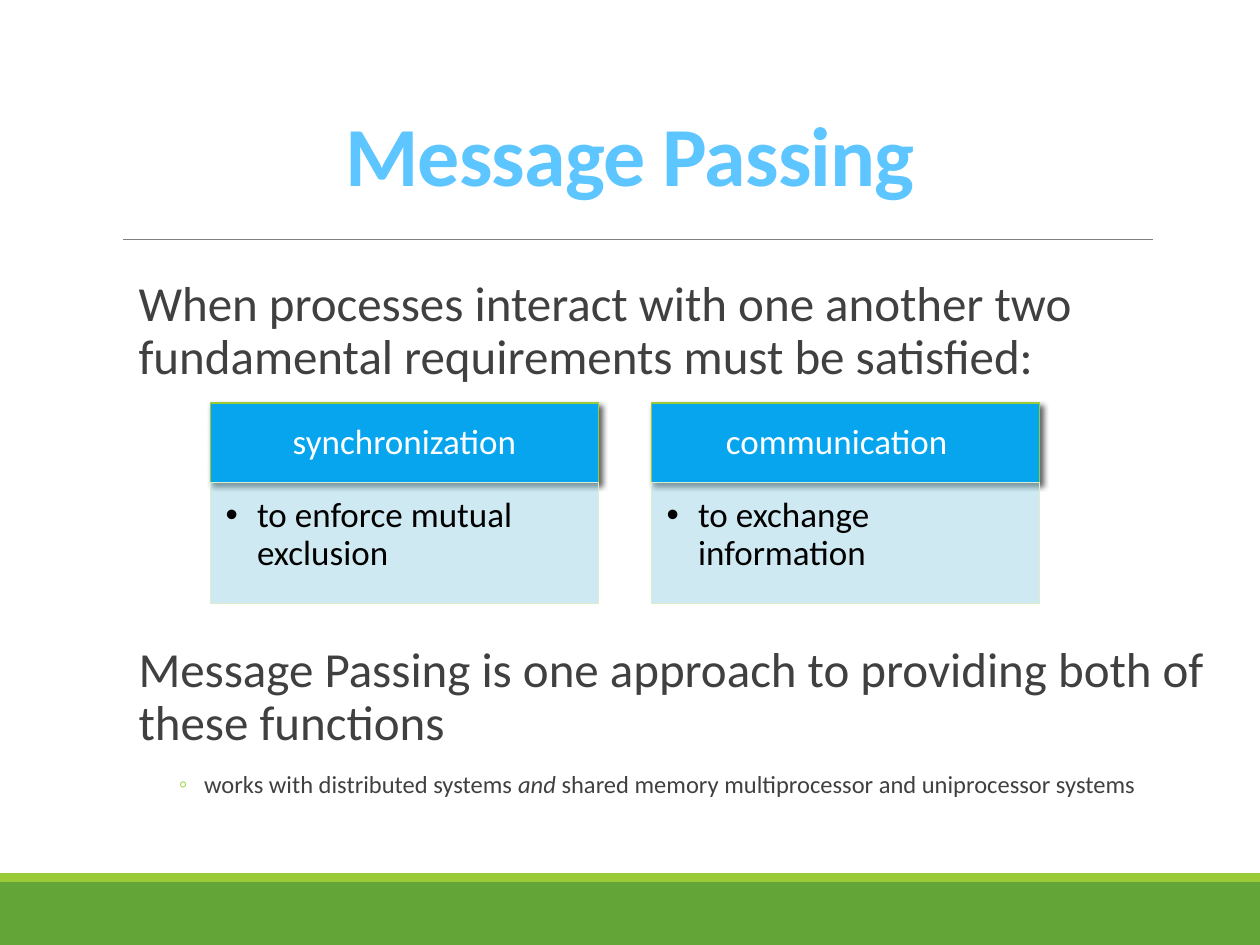
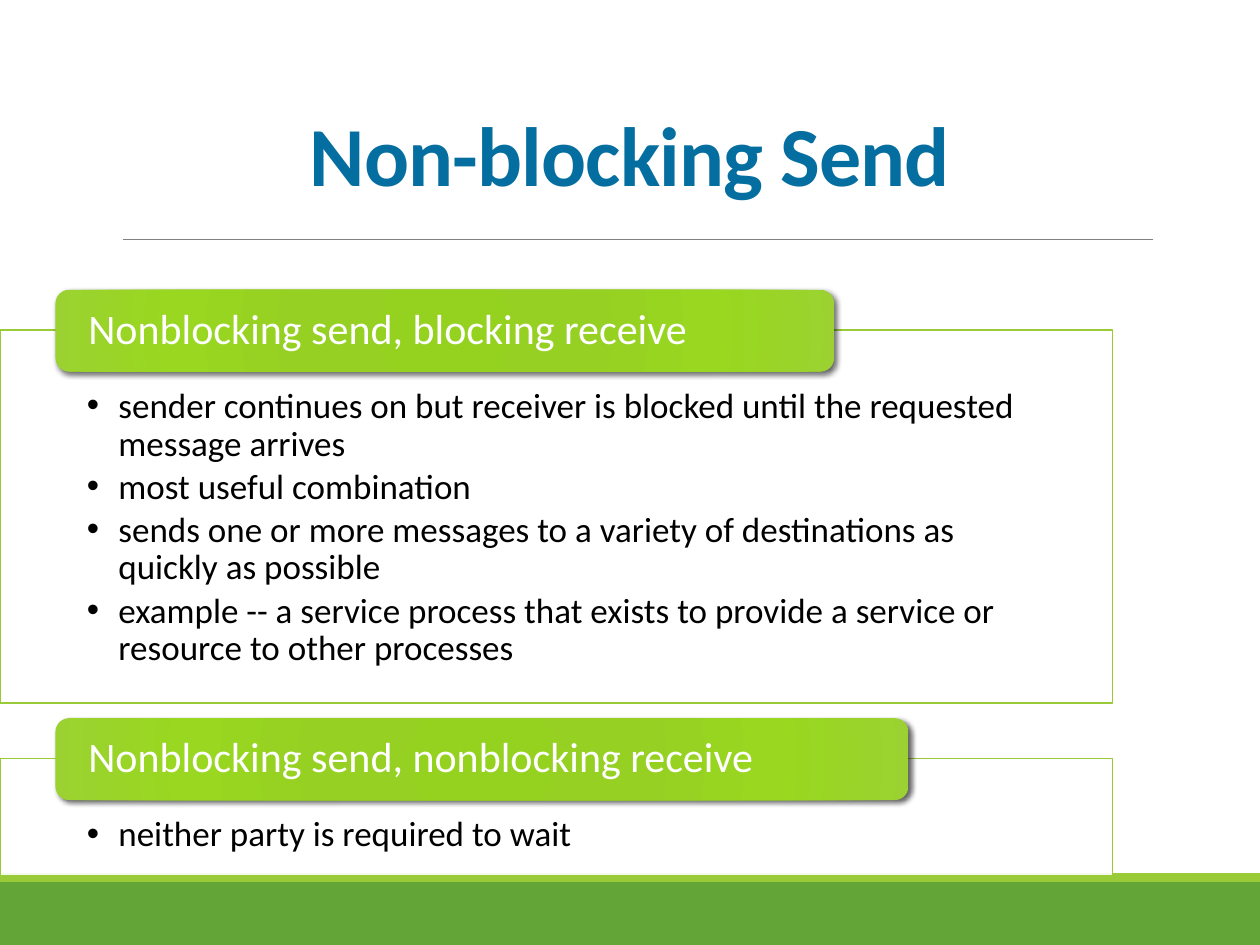
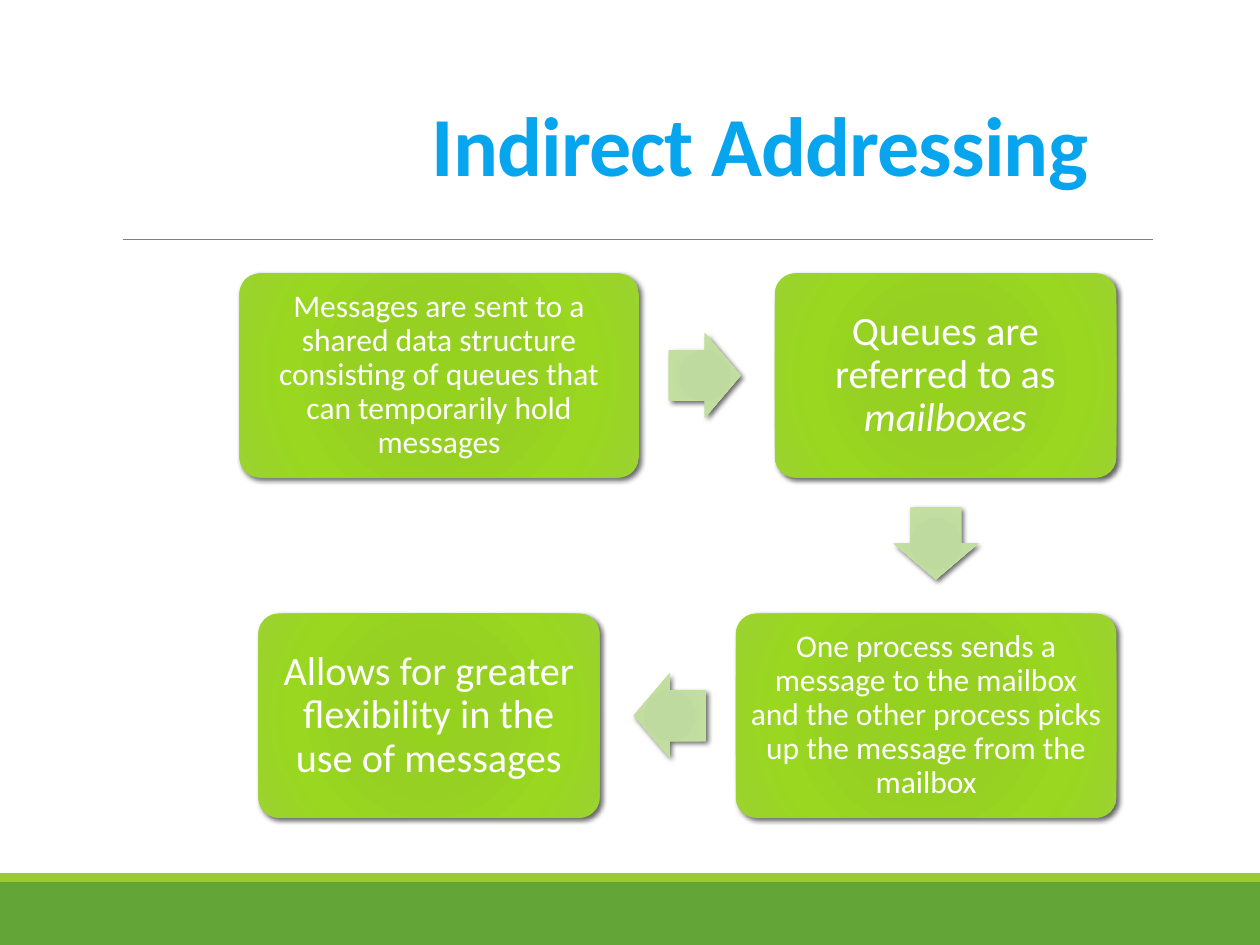
from lxml import etree
from pptx import Presentation
from pptx.dml.color import RGBColor
from pptx.enum.shapes import MSO_CONNECTOR, MSO_SHAPE
from pptx.enum.text import MSO_ANCHOR, MSO_AUTO_SIZE, PP_ALIGN
from pptx.oxml import parse_xml
from pptx.oxml.ns import nsdecls, qn
from pptx.util import Inches, Pt

RECT, ROUND, ARROW = MSO_SHAPE.RECTANGLE, MSO_SHAPE.ROUNDED_RECTANGLE, MSO_SHAPE.RIGHT_ARROW
LEFT, MID = PP_ALIGN.LEFT, PP_ALIGN.CENTER
TOP, CENTER, BOTTOM = MSO_ANCHOR.TOP, MSO_ANCHOR.MIDDLE, MSO_ANCHOR.BOTTOM

FONT = "Calibri"
BLACK = RGBColor(0x00, 0x00, 0x00)
WHITE = RGBColor(0xFF, 0xFF, 0xFF)
GRAY = RGBColor(0x40, 0x40, 0x40)
RULE = RGBColor(0x80, 0x80, 0x80)
GREEN = RGBColor(0x63, 0xA5, 0x37)
LIME = RGBColor(0x99, 0xCB, 0x38)
PALE = RGBColor(0xDE, 0xEC, 0xCE)
AQUA = RGBColor(0x95, 0xD1, 0xE2)
BLUE = RGBColor(0x08, 0xA5, 0xEF)
SKY = RGBColor(0x5D, 0xC5, 0xFF)
NAVY = RGBColor(0x05, 0x6E, 0xA0)
GLOW = [(0, "95D220"), (34, "96D023"), (70, "99D720"), (100, "9BD231")]
MIST = [(0, "BDD99C"), (34, "BFDA9E"), (70, "C2DF9F"), (100, "CAE4AC")]

# Content: a run is (text, italic)
INTRO = "When processes interact with one another two fundamental requirements must be satisfied:"
CLOSE = "Message Passing is one approach to providing both of these functions"
NOTE = [("works with distributed systems ", False), ("and", True),
        (" shared memory multiprocessor and uniprocessor systems", False)]
# head, right inset, detail
NEEDS = [("synchronization", 0.16, "to enforce mutual exclusion"),
         ("communication", 0.30, "to exchange information")]
# head, head width, top, box height, points
SENDS = [
    ("Nonblocking send, blocking receive", 6.18, 2.3, 2.96, [
        "sender continues on but receiver is blocked until the requested message arrives",
        "most useful combination",
        "sends one or more messages to a variety of destinations as quickly as possible",
        "example -- a service process that exists to provide a service or resource to other processes"]),
    ("Nonblocking send, nonblocking receive", 6.77, 5.7, 0.93, [
        "neither party is required to wait"]),
]
# left, top, width, size, inset, runs
CARDS = [
    (1.9, 2.17, 3.17, 18, 0.07, [("Messages are sent to a shared data structure consisting "
                                  "of queues that can temporarily hold messages", False)]),
    (6.15, 2.17, 2.71, 23, 0.1, [("Queues are referred to as ", False), ("mailboxes", True)]),
    (5.84, 4.87, 3.02, 18, 0.07, [("One process sends a message to the mailbox and the other "
                                   "process picks up the message from the mailbox", False)]),
    (2.05, 4.87, 2.71, 23, 0.1, [("Allows for greater flexibility in the use of messages", False)]),
]


# Fills and effects
def fade(shape, alpha):
    """Give a solid fill an opacity in percent."""
    node = shape.element.spPr.find(qn("a:solidFill")).find(qn("a:srgbClr"))
    etree.SubElement(node, qn("a:alpha"), val=str(alpha * 1000))


def blend(shape, stops):
    marks = "".join(f'<a:gs pos="{pos * 1000}"><a:srgbClr val="{tone}"/></a:gs>'
                    for pos, tone in stops)
    shape.element.spPr.insert(2, parse_xml(
        f'<a:gradFill {nsdecls("a")} rotWithShape="1"><a:gsLst>{marks}</a:gsLst>'
        '<a:path path="circle"><a:fillToRect l="100000" t="100000" r="100000" b="100000"/>'
        '</a:path></a:gradFill>'))


def shade(shape):
    shape.element.spPr.find(qn("a:effectLst")).append(parse_xml(
        f'<a:outerShdw {nsdecls("a")} blurRad="38100" dist="25400" dir="2700000" '
        'rotWithShape="0"><a:srgbClr val="000000"><a:alpha val="60000"/></a:srgbClr>'
        '</a:outerShdw>'))


# Shapes
def block(slide, kind, at, fill, line=None, alpha=None, drop=False):
    shape = slide.shapes.add_shape(kind, *map(Inches, at))
    shape.shadow.inherit = False
    if isinstance(fill, list):
        blend(shape, fill)
    else:
        shape.fill.solid()
        shape.fill.fore_color.rgb = fill
        if alpha:
            fade(shape, alpha)
    if line is None:
        shape.line.fill.background()
    else:
        shape.line.color.rgb = line
        shape.line.width = Pt(1)
    if drop:
        shade(shape)
    return shape


# Text
def setup(shape, insets, anchor=TOP):
    frame = shape.text_frame
    frame.word_wrap = True
    frame.auto_size = MSO_AUTO_SIZE.NONE
    frame.vertical_anchor = anchor
    (frame.margin_left, frame.margin_top,
     frame.margin_right, frame.margin_bottom) = map(Inches, insets)
    return frame


def write(frame, runs, size, color, align=LEFT, first=True, margin=0, hang=0,
          bullet=None, tint=None, before=0, after=0):
    para = frame.paragraphs[0] if first else frame.add_paragraph()
    para.alignment = align
    para.line_spacing = 0.9
    para.space_before, para.space_after = Pt(before), Pt(after)
    props = para._p.get_or_add_pPr()
    props.set("marL", str(Inches(margin)))
    props.set("indent", str(-Inches(hang)))
    if tint is not None:
        node = etree.SubElement(props, qn("a:buClr"))
        etree.SubElement(node, qn("a:srgbClr"), val=str(tint))
    if bullet:
        etree.SubElement(props, qn("a:buFont"), typeface="Arial")
        etree.SubElement(props, qn("a:buChar"), char=bullet)
    for text, slant in runs:
        run = para.add_run()
        run.text = text
        font = run.font
        font.name, font.size, font.italic = FONT, Pt(size), slant
        font.color.rgb = color
    return para


def points(frame, items):
    for i, item in enumerate(items):
        write(frame, [(item, False)], 20, BLACK, first=i == 0,
              margin=0.25, hang=0.25, bullet="•", after=3)


# Shared frame: bands, rule and title
def start(deck, title, color, left=0.72, top=0.5):
    slide = deck.slides.add_slide(deck.slide_layouts[5])
    block(slide, RECT, (0, 7, 10, 0.5), GREEN)
    block(slide, RECT, (0, 6.93, 10, 0.07), LIME)
    rule = slide.shapes.add_connector(MSO_CONNECTOR.STRAIGHT, Inches(0.98), Inches(1.9),
                                      Inches(9.15), Inches(1.9))
    rule.line.color.rgb = RULE
    rule.line.width = Pt(0.5)
    etree.SubElement(rule.element.spPr, qn("a:effectLst"))
    head = slide.shapes.title
    head.left, head.top, head.width, head.height = map(Inches, (left, top, 8.56, 1.17))
    frame = setup(head, (0.1, 0.05, 0.1, 0.05), BOTTOM)
    para = write(frame, [(title, False)], 48, color, MID)
    para.line_spacing = 0.85
    font = para.runs[0].font
    font.bold = True
    font._element.set("spc", "-50")
    return slide


def passing(deck):
    slide = start(deck, "Message Passing", SKY)
    for top, height, text in ((2.17, 1, INTRO), (5.07, 1.5, CLOSE)):
        box = slide.shapes.add_textbox(*map(Inches, (1, top, 9, height)))
        frame = setup(box, (0, 0.05, 0, 0.05))
        write(frame, [(text, False)], 28, GRAY, margin=0.1, after=2)
    write(frame, NOTE, 14, GRAY, first=False, margin=0.62, hang=0.2,
          bullet="◦", tint=LIME, before=10, after=4)
    for i, (name, right, detail) in enumerate(NEEDS):
        left = 1.67 + 3.5 * i
        head = block(slide, RECT, (left, 3.2, 3.08, 0.63), BLUE, LIME, drop=True)
        write(setup(head, (0.16, 0.09, right, 0.09), CENTER), [(name, False)], 20, WHITE, MID)
        body = block(slide, RECT, (left, 3.83, 3.08, 0.96), AQUA, PALE, alpha=46)
        points(setup(body, (0.12, 0.12, 0.16, 0.17)), [detail])


def sending(deck):
    slide = start(deck, "Non-blocking Send", NAVY)
    for name, width, top, height, items in SENDS:
        body = block(slide, RECT, (0, top + 0.32, 8.83, height), WHITE, LIME, alpha=90)
        points(setup(body, (0.69, 0.46, 0.69, 0.16)), items)
        head = block(slide, ROUND, (0.44, top, width, 0.65), GLOW, drop=True)
        write(setup(head, (0.23, 0, 0.23, 0), CENTER), [(name, False)], 24, WHITE)


def mailbox(deck):
    slide = start(deck, "Indirect Addressing", BLUE, 1.75, 0.42)
    tall, long, wide, gap = 1.62, 0.57, 0.67, 0.24
    for left, top, width, size, pad, runs in CARDS:
        card = block(slide, ROUND, (left, top, width, tall), GLOW, drop=True)
        card.adjustments[0] = 0.1
        write(setup(card, [pad] * 4, CENTER), runs, size, WHITE, MID)
    # Arrows from each card to the next
    for (x1, y1, w1, *_), (x2, y2, w2, *_) in zip(CARDS, CARDS[1:]):
        mid_x, mid_y = (x1 + w1 / 2 + x2 + w2 / 2) / 2, y1 + tall / 2
        if y2 > y1:
            turn, mid_y = 90, y1 + tall + gap + long / 2
        elif x2 > x1:
            turn, mid_x = 0, x1 + w1 + gap + long / 2
        else:
            turn, mid_x = 180, x1 - gap - long / 2
        arrow = block(slide, ARROW, (mid_x - long / 2, mid_y - wide / 2, long, wide),
                      MIST, drop=True)
        arrow.adjustments[0], arrow.adjustments[1] = 0.6, 0.5
        arrow.rotation = turn


def main():
    deck = Presentation()
    deck.slide_width, deck.slide_height = Inches(10), Inches(7.5)
    for build in (passing, sending, mailbox):
        build(deck)
    deck.save("out.pptx")


if __name__ == "__main__":
    main()
